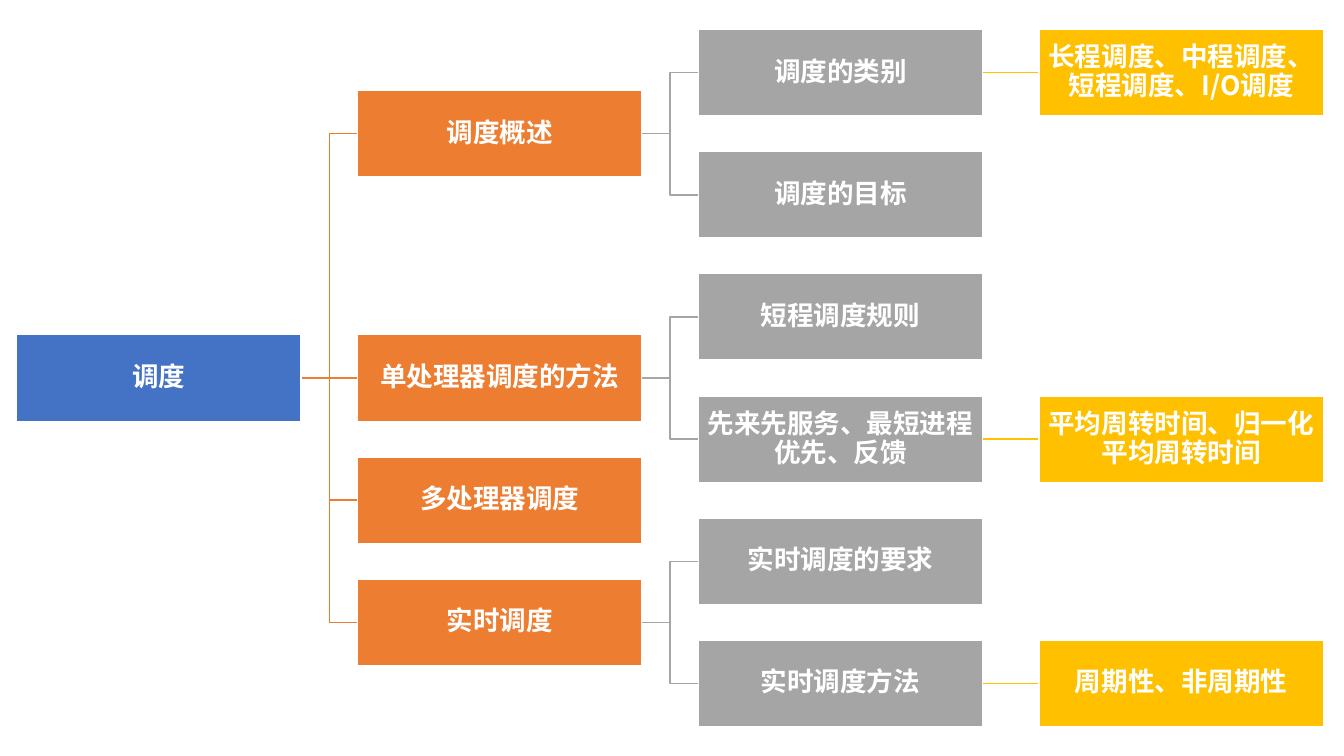
from dataclasses import dataclass
from lxml.etree import SubElement
from pptx import Presentation
from pptx.dml.color import RGBColor
from pptx.enum.shapes import MSO_CONNECTOR, MSO_SHAPE
from pptx.enum.text import MSO_ANCHOR, PP_ALIGN
from pptx.oxml.ns import qn
from pptx.util import Pt


@dataclass(frozen=True)
class Theme:
    fills: tuple = ("4472C4", "ED7D31", "A5A5A5", "FFC000")
    white: str = "FFFFFF"
    font: str = "Noto Sans CJK SC"
    size: float = 19
    line: float = 1


theme = Theme()
LEFT, STEP, WIDE = 12, 243.4, 203
TOP, PITCH, HIGH = 21, 87.25, 61.8

nodes = [
    ("root", None, 0, 2.5, "调度"),
    ("basics", "root", 1, 0.5, "调度概述"),
    ("kinds", "basics", 2, 0, "调度的类别"),
    ("terms", "kinds", 3, 0, "长程调度、中程调度、短程调度、I/O调度"),
    ("goals", "basics", 2, 1, "调度的目标"),
    ("single", "root", 1, 2.5, "单处理器调度的方法"),
    ("rules", "single", 2, 2, "短程调度规则"),
    ("ways", "single", 2, 3, "先来先服务、最短进程优先、反馈"),
    ("times", "ways", 3, 3, "平均周转时间、归一化平均周转时间"),
    ("multi", "root", 1, 3.5, "多处理器调度"),
    ("real", "root", 1, 4.5, "实时调度"),
    ("needs", "real", 2, 4, "实时调度的要求"),
    ("modes", "real", 2, 5, "实时调度方法"),
    ("cycles", "modes", 3, 5, "周期性、非周期性"),
]

deck = Presentation()
deck.slide_width, deck.slide_height = Pt(960), Pt(540)
slide = deck.slides.add_slide(deck.slide_layouts[6])
white = RGBColor.from_string(theme.white)

links = {}
for key, parent, level, row, label in nodes:
    if parent:
        links[key] = slide.shapes.add_connector(MSO_CONNECTOR.ELBOW, 0, 0, 0, 0)

boxes = {}
for key, parent, level, row, label in nodes:
    fill = RGBColor.from_string(theme.fills[level])
    box = slide.shapes.add_shape(
        MSO_SHAPE.RECTANGLE,
        Pt(LEFT + STEP * level), Pt(TOP + PITCH * row), Pt(WIDE), Pt(HIGH),
    )
    boxes[key] = box
    box.shadow.inherit = False
    box.fill.solid()
    box.fill.fore_color.rgb = fill
    box.line.color.rgb = white
    box.line.width = Pt(theme.line)

    frame = box.text_frame
    frame.word_wrap = True
    frame.vertical_anchor = MSO_ANCHOR.MIDDLE
    frame.margin_left = frame.margin_right = Pt(0.9)
    frame.margin_top = frame.margin_bottom = Pt(0.9)
    para = frame.paragraphs[0]
    para.alignment = PP_ALIGN.CENTER
    para.line_spacing = 0.9
    para.space_after = Pt(theme.size * 0.35)
    run = para.add_run()
    run.text = label
    run.font.size = Pt(theme.size)
    run.font.bold = True
    run.font.color.rgb = white
    run.font.name = theme.font
    SubElement(run.font._element, qn("a:ea"), typeface=theme.font)

    if parent:
        link = links[key]
        link.begin_connect(boxes[parent], 3)
        link.end_connect(box, 1)
        link.line.color.rgb = fill
        link.line.width = Pt(theme.line)
        SubElement(link._element.spPr, qn("a:effectLst"))

deck.save("out.pptx")
